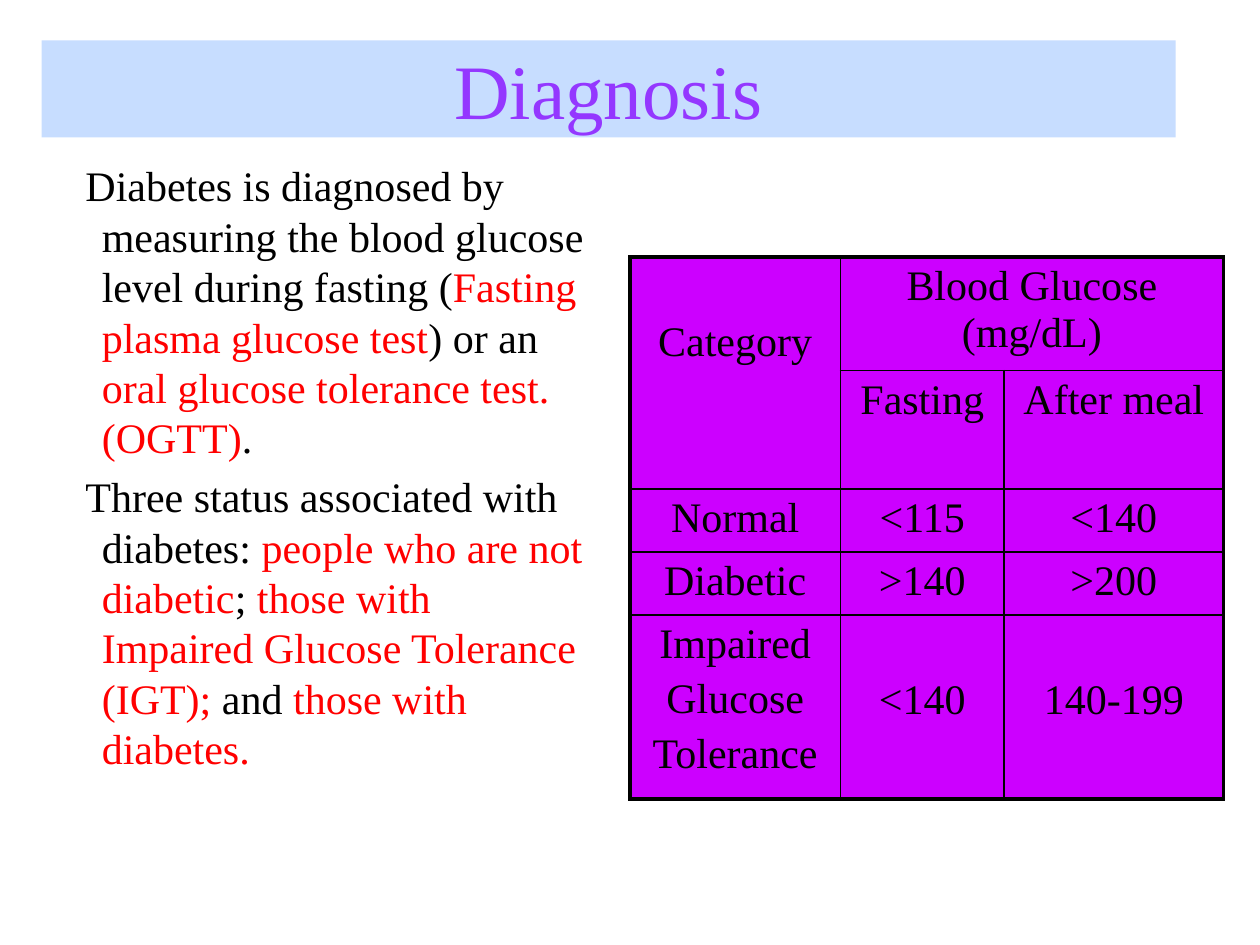
from lxml import etree
from pptx import Presentation
from pptx import util as u
from pptx.dml.color import RGBColor
from pptx.enum import text
from pptx.oxml.ns import qn

FONT = "Times New Roman"
BLACK = RGBColor(0x00, 0x00, 0x00)
RED = RGBColor(0xFF, 0x00, 0x00)
VIOLET = RGBColor(0x94, 0x37, 0xFF)
PALE_BLUE = RGBColor(0xC7, 0xDD, 0xFF)
MAGENTA = RGBColor(0xCC, 0x00, 0xFF)

THIN, THICK = u.Pt(1), u.Pt(2.25)
SPACE_BEFORE = u.Pt(4.8)
COLUMN_WIDTHS = [1.67, 1.3, 1.74]
ROW_HEIGHTS = [0.9, 0.9, 0.5, 0.5, 1.46]

# Runs of each paragraph: (wording, colour)
DIAGNOSIS_TEXT = [
    [("Diabetes is diagnosed by measuring the blood glucose level during fasting (", BLACK),
     ("Fasting plasma glucose test", RED),
     (") or an ", BLACK),
     ("oral glucose tolerance test. (OGTT)", RED),
     (".", BLACK)],
    [("Three status associated with diabetes: ", BLACK),
     ("people who are not diabetic", RED),
     ("; ", BLACK),
     ("those with Impaired Glucose Tolerance (IGT);", RED),
     (" and ", BLACK),
     ("those with diabetes.", RED)],
]

GLUCOSE_ROWS = [
    ["Category", "Blood Glucose (mg/dL)", ""],
    ["", "Fasting", "After meal"],
    ["Normal", "<115", "<140"],
    ["Diabetic", ">140", ">200"],
    ["Impaired\nGlucose\nTolerance", "<140", "140-199"],
]
# Cells whose text starts one line lower
LOWERED_CELLS = {(0, 0), (4, 1), (4, 2)}


def set_font(paragraph, size, color=None):
    paragraph.font.name = FONT
    paragraph.font.size = u.Pt(size)
    if color is not None:
        paragraph.font.color.rgb = color


def format_title(title):
    title.left, title.top = u.Inches(0.33), u.Inches(0.32)
    title.width, title.height = u.Inches(9), u.Inches(0.77)
    title.fill.solid()
    title.fill.fore_color.rgb = PALE_BLUE
    frame = title.text_frame
    frame.text = "Diagnosis"
    frame.auto_size = text.MSO_AUTO_SIZE.NONE
    frame.vertical_anchor = text.MSO_ANCHOR.MIDDLE
    frame.paragraphs[0].alignment = text.PP_ALIGN.CENTER
    set_font(frame.paragraphs[0], 44, VIOLET)


def add_body(slide):
    box = slide.shapes.add_textbox(u.Inches(0.33), u.Inches(1.22), u.Inches(4.42), u.Inches(5.36))
    frame = box.text_frame
    frame.word_wrap = True
    for index, runs in enumerate(DIAGNOSIS_TEXT):
        paragraph = frame.add_paragraph() if index else frame.paragraphs[0]
        properties = paragraph._p.get_or_add_pPr()
        properties.set("marL", str(u.Inches(0.38)))
        properties.set("indent", str(u.Inches(-0.13)))
        paragraph.line_spacing = u.Pt(28.8)
        if index:
            paragraph.space_before = SPACE_BEFORE
        set_font(paragraph, 24)
        for wording, color in runs:
            run = paragraph.add_run()
            run.text = wording
            run.font.color.rgb = color


def set_borders(cell, widths):
    properties = cell._tc.get_or_add_tcPr()
    for side, width in zip("LRTB", widths):
        line = etree.SubElement(properties, qn(f"a:ln{side}"), w=str(width))
        fill = etree.SubElement(line, qn("a:solidFill"))
        etree.SubElement(fill, qn("a:srgbClr"), val=str(BLACK))


def format_cell(cell, row, column, wording):
    at_edges = (
        column == 0,
        column + cell.span_width == len(COLUMN_WIDTHS),
        row == 0,
        row + cell.span_height == len(ROW_HEIGHTS),
    )
    set_borders(cell, [THICK if at_edge else THIN for at_edge in at_edges])
    cell.fill.solid()
    cell.fill.fore_color.rgb = MAGENTA
    if (row, column) in LOWERED_CELLS:
        cell.margin_top = u.Inches(0.49)
    if not wording:
        return
    cell.text = wording
    for index, paragraph in enumerate(cell.text_frame.paragraphs):
        paragraph.alignment = text.PP_ALIGN.CENTER
        if index:
            paragraph.space_before = SPACE_BEFORE
        set_font(paragraph, 24, BLACK)


def add_glucose_table(slide):
    table = slide.shapes.add_table(
        len(ROW_HEIGHTS), len(COLUMN_WIDTHS), u.Inches(5), u.Inches(2.04),
        u.Inches(sum(COLUMN_WIDTHS)), u.Inches(sum(ROW_HEIGHTS))).table
    table.first_row = table.horz_banding = False
    for column, width in zip(table.columns, COLUMN_WIDTHS):
        column.width = u.Inches(width)
    for row, height in zip(table.rows, ROW_HEIGHTS):
        row.height = u.Inches(height)

    # Two-level header
    table.cell(0, 0).merge(table.cell(1, 0))
    table.cell(0, 1).merge(table.cell(0, 2))

    for row, wordings in enumerate(GLUCOSE_ROWS):
        for column, wording in enumerate(wordings):
            format_cell(table.cell(row, column), row, column, wording)


def main():
    presentation = Presentation()
    presentation.slide_width = u.Inches(10)
    presentation.slide_height = u.Inches(7.5)
    slide = presentation.slides.add_slide(presentation.slide_layouts[5])
    format_title(slide.shapes.title)
    add_body(slide)
    add_glucose_table(slide)
    presentation.save("out.pptx")


if __name__ == "__main__":
    main()
